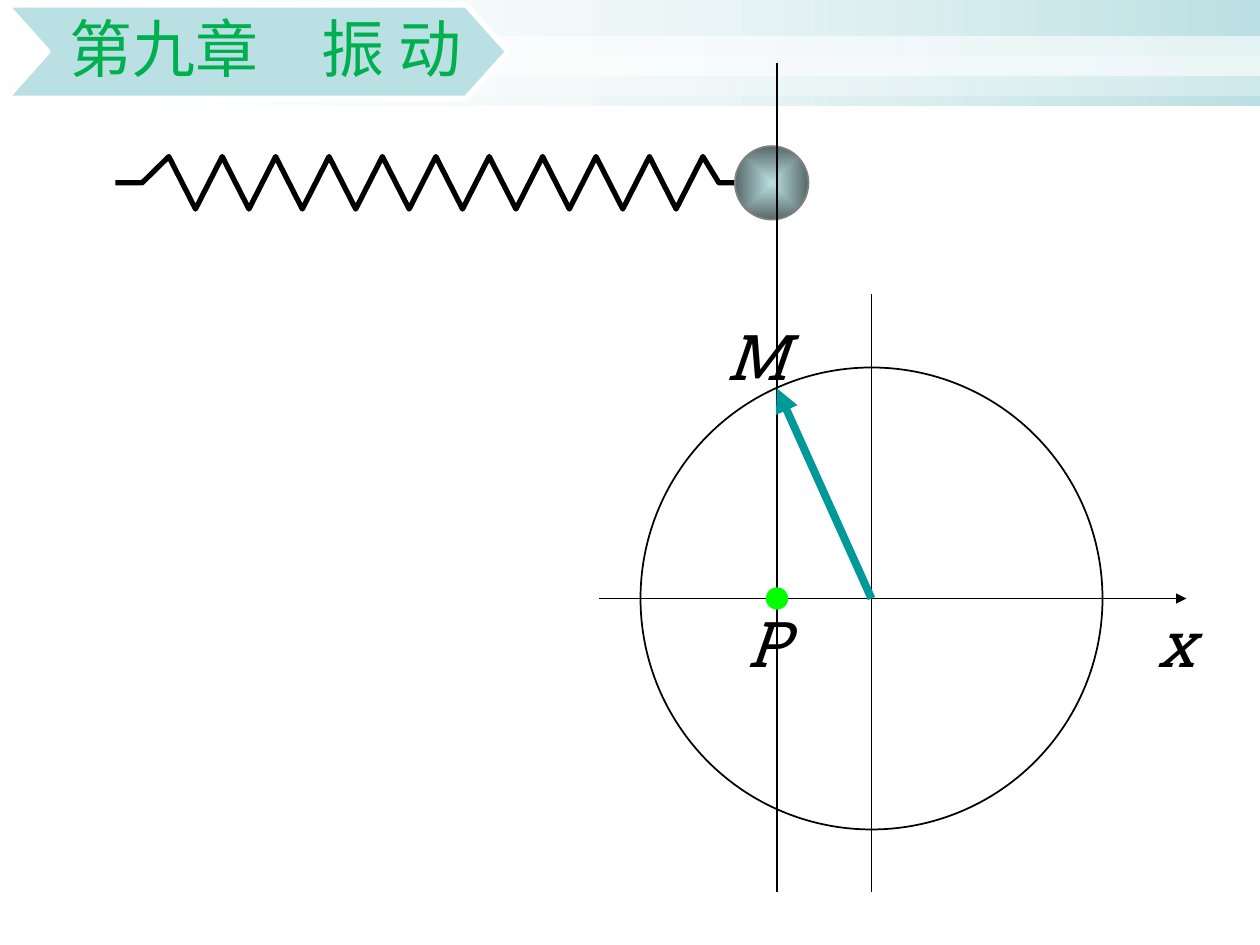
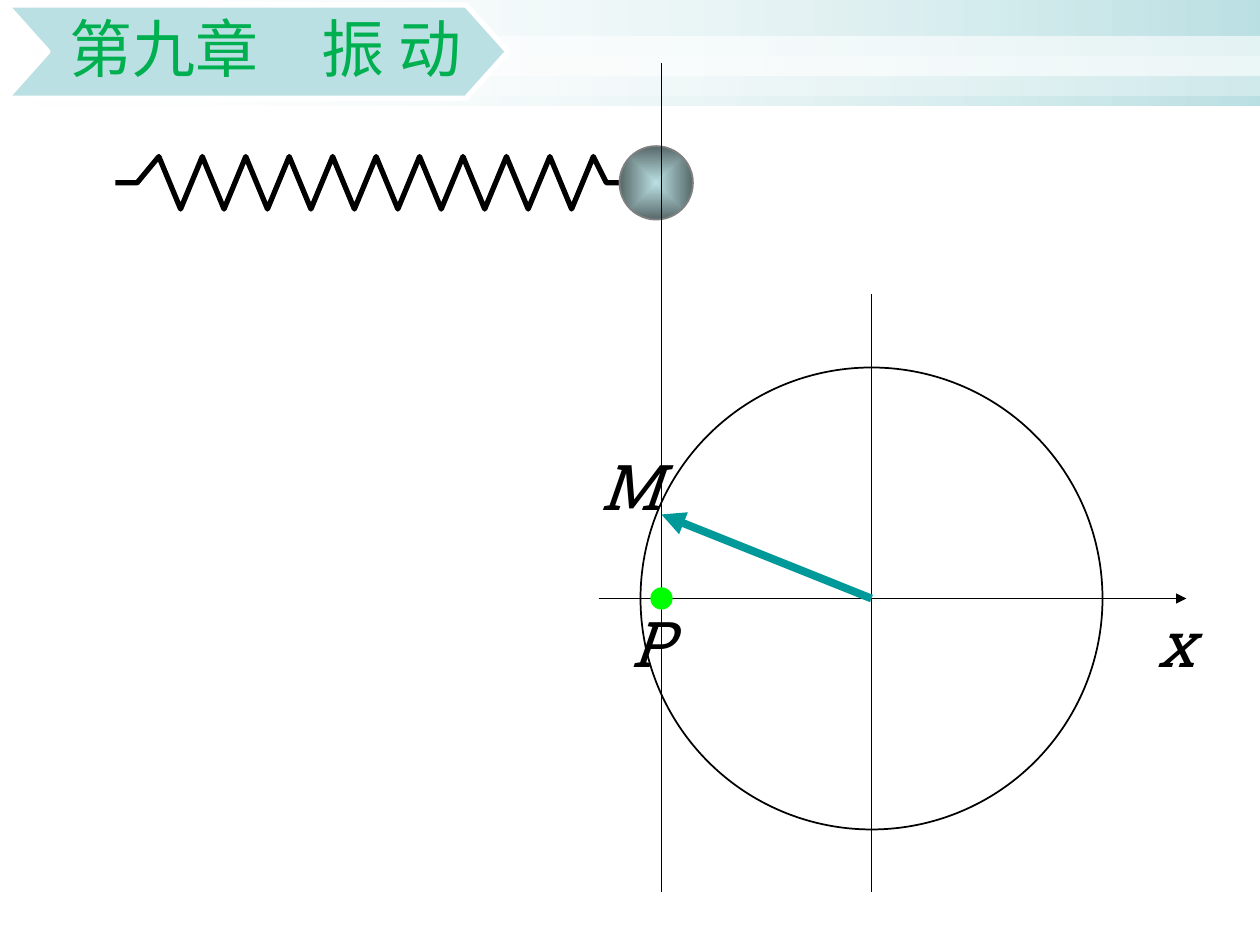
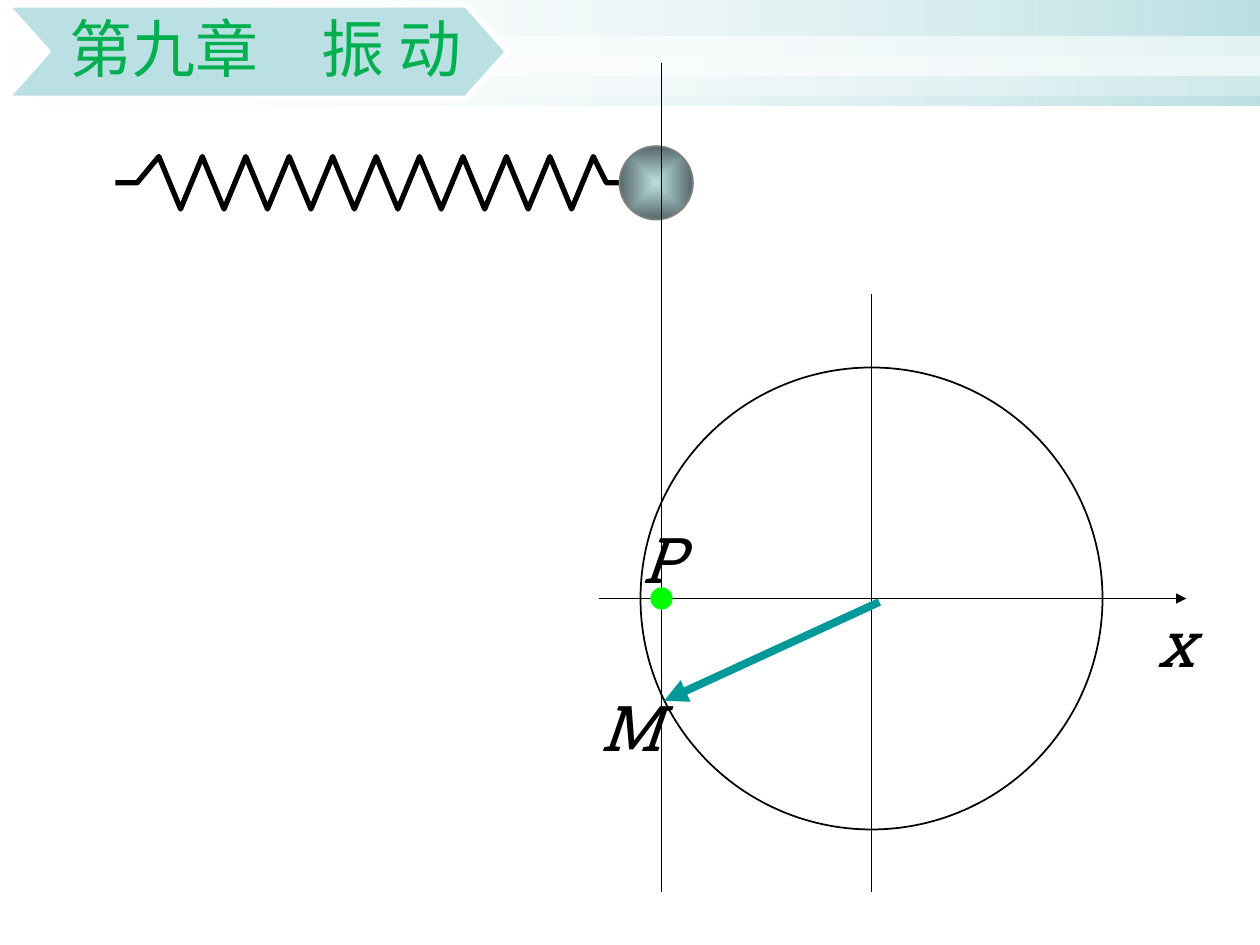
from dataclasses import dataclass

from lxml import etree
from pptx import Presentation
from pptx.dml.color import RGBColor
from pptx.enum.shapes import MSO_CONNECTOR, MSO_SHAPE
from pptx.enum.text import MSO_ANCHOR, MSO_AUTO_SIZE, PP_ALIGN
from pptx.oxml.ns import qn
from pptx.util import Pt

RECTANGLE, OVAL = MSO_SHAPE.RECTANGLE, MSO_SHAPE.OVAL
STRAIGHT = MSO_CONNECTOR.STRAIGHT
MIDDLE, RIGHT = MSO_ANCHOR.MIDDLE, PP_ALIGN.RIGHT
GROW_TO_TEXT = MSO_AUTO_SIZE.SHAPE_TO_FIT_TEXT


@dataclass(frozen=True)
class Theme:
    white: str = "FFFFFF"
    ink: str = "000000"
    band: str = "BBE0E3"
    ball_edge: str = "576869"
    ball_line: str = "808080"
    vector: str = "009999"
    dot: str = "00FF00"
    title: str = "00B050"
    title_font: str = "Calibri"
    label_font: str = "Roboto Slab"
    text_size: float = 36
    thin: float = 1
    thick: float = 3
    vector_width: float = 4.5


@dataclass(frozen=True)
class Moment:
    """One position of the oscillator and its rotating vector."""
    ball_left: float
    vector_start: tuple
    vector_tip: tuple
    m_label: tuple
    p_label: tuple


THEME = Theme()
CENTER_X, CENTER_Y, RADIUS = 498, 342, 132
SPRING_LEFT, SPRING_Y, SPRING_HEIGHT = 66, 104.5, 15
SPRING_STEPS = 22
BALL_SIZE, DOT_SIZE = 42, 12
LINE_OFFSET = 24
AXIS_BOTTOM = 510
LABEL_HEIGHT = 50.4

MOMENTS = [
    Moment(420, (CENTER_X, CENTER_Y), (444, 222), (408, 178), (420, 342)),
    Moment(354, (CENTER_X, CENTER_Y), (378, 294), (336, 252), (354, 342)),
    Moment(354, (502.5, 344), (379.5, 400.5), (336, 390), (360, 294)),
]


# Formatting
def set_line(item, color, width):
    item.line.color.rgb = RGBColor.from_string(color)
    item.line.width = Pt(width)


def set_fill(shape, color, opacity=100):
    shape.fill.solid()
    shape.fill.fore_color.rgb = RGBColor.from_string(color)
    if opacity < 100:
        color_node = shape.element.spPr.find(qn("a:solidFill"))[0]
        etree.SubElement(color_node, qn("a:alpha"), val=str(opacity * 1000))


def set_gradient(shape, start, end, start_opacity=100, from_center=False):
    shape.fill.gradient()
    shape.fill.gradient_angle = 0
    gradient = shape.element.spPr.find(qn("a:gradFill"))
    stops = shape.fill.gradient_stops
    for stop, color, position in zip(stops, (start, end), (0, 1)):
        stop.color.rgb = RGBColor.from_string(color)
        stop.position = position
    if start_opacity < 100:
        color_node = gradient.find(qn("a:gsLst"))[0][0]
        etree.SubElement(color_node, qn("a:alpha"), val=str(start_opacity * 1000))
    if from_center:
        direction = etree.Element(qn("a:path"), {"path": "rect"})
        etree.SubElement(direction, qn("a:fillToRect"),
                         {side: "50000" for side in "ltrb"})
        gradient.replace(gradient.find(qn("a:lin")), direction)


def set_font(paragraph, name, color, italic=False):
    for run in paragraph.runs:
        run.font.name = name
        run.font.size = Pt(THEME.text_size)
        run.font.italic = italic
        run.font.color.rgb = RGBColor.from_string(color)


def set_insets(text_frame, left, top, right, bottom):
    text_frame.margin_left, text_frame.margin_top = Pt(left), Pt(top)
    text_frame.margin_right, text_frame.margin_bottom = Pt(right), Pt(bottom)


# Elements
def add_plain_shape(shapes, kind, left, top, width, height):
    shape = shapes.add_shape(kind, Pt(left), Pt(top), Pt(width), Pt(height))
    shape.shadow.inherit = False
    shape.fill.background()
    shape.line.fill.background()
    return shape


def add_circle(shapes, center_x, center_y, size, color, width=THEME.thin):
    circle = add_plain_shape(shapes, OVAL, center_x - size / 2,
                             center_y - size / 2, size, size)
    set_line(circle, color, width)
    return circle


def add_line(shapes, start, end, color=THEME.ink, width=THEME.thin, arrow=False):
    line = shapes.add_connector(STRAIGHT, *map(Pt, start), *map(Pt, end))
    set_line(line, color, width)
    properties = line.element.spPr
    if arrow:
        etree.SubElement(properties.find(qn("a:ln")), qn("a:tailEnd"), type="triangle")
    etree.SubElement(properties, qn("a:effectLst"))


def add_outline(shapes, points, color, width, close):
    corners = [(Pt(x), Pt(y)) for x, y in points]
    builder = shapes.build_freeform(*corners[0])
    builder.add_line_segments(corners[1:], close=close)
    outline = builder.convert_to_shape()
    outline.shadow.inherit = False
    set_line(outline, color, width)
    return outline


def add_label(shapes, text, left, top, width):
    box = shapes.add_textbox(Pt(left), Pt(top), Pt(width), Pt(LABEL_HEIGHT))
    frame = box.text_frame
    frame.text = text
    frame.word_wrap = False
    frame.auto_size = GROW_TO_TEXT
    set_insets(frame, 7.2, 3.6, 7.2, 3.6)
    set_font(frame.paragraphs[0], THEME.label_font, THEME.ink, italic=True)


# Shared header
def add_header_band(shapes):
    band = add_plain_shape(shapes, RECTANGLE, 0, 0, 720, 60.5)
    set_gradient(band, THEME.white, THEME.band, start_opacity=0)
    for top, opacity in ((20.5, 60), (32, 31)):
        stripe = add_plain_shape(shapes, RECTANGLE, 0, top, 720, 23)
        set_fill(stripe, THEME.white, opacity)


def add_chapter_banner(shapes):
    left, shoulder, tip, notch = 3.6, 266.4, 290.2, 27.4
    top, middle, bottom = 2.9, 29.5, 56.1
    points = [(left, top), (shoulder, top), (tip, middle),
              (shoulder, bottom), (left, bottom), (notch, middle)]
    banner = add_outline(shapes, points, THEME.white, THEME.thick, close=True)
    set_fill(banner, THEME.band)
    frame = banner.text_frame
    frame.text = "第九章　振 动"
    frame.word_wrap = True
    frame.vertical_anchor = MIDDLE
    set_insets(frame, 30, 2, 26.5, 2)
    paragraph = frame.paragraphs[0]
    paragraph.alignment = RIGHT
    paragraph.line_spacing = 0.9
    paragraph.space_after = Pt(15.8)
    set_font(paragraph, THEME.title_font, THEME.title)


# Oscillator and reference circle
def add_spring(shapes, right):
    # The two closing pieces are each 0.6 of a step long
    step = (right - SPRING_LEFT) / (SPRING_STEPS + 1.2)
    points = [(SPRING_LEFT, SPRING_Y), (SPRING_LEFT + step, SPRING_Y)]
    for index in range(2, SPRING_STEPS + 1):
        offset = -SPRING_HEIGHT if index % 2 == 0 else SPRING_HEIGHT
        points.append((SPRING_LEFT + index * step, SPRING_Y + offset))
    points += [(right - 0.6 * step, SPRING_Y), (right, SPRING_Y)]
    spring = add_outline(shapes, points, THEME.ink, THEME.thick, close=False)
    spring.fill.background()


def add_ball_with_projection(slide, ball_left):
    shapes = slide.shapes.add_group_shape().shapes
    ball = add_circle(shapes, ball_left + BALL_SIZE / 2, SPRING_Y,
                      BALL_SIZE, THEME.ball_line)
    set_gradient(ball, THEME.band, THEME.ball_edge, from_center=True)
    line_x = ball_left + LINE_OFFSET
    add_line(shapes, (line_x, 36), (line_x, AXIS_BOTTOM))


def add_reference_circle(slide):
    shapes = slide.shapes.add_group_shape().shapes
    add_circle(shapes, CENTER_X, CENTER_Y, 2 * RADIUS, THEME.ink)
    add_line(shapes, (342, CENTER_Y), (678, CENTER_Y), arrow=True)
    add_line(shapes, (CENTER_X, 168), (CENTER_X, AXIS_BOTTOM))
    add_label(shapes, "x", 654.5, CENTER_Y, 34)


def add_moment_slide(presentation, moment):
    slide = presentation.slides.add_slide(presentation.slide_layouts[6])
    shapes = slide.shapes
    add_header_band(shapes)
    add_spring(shapes, moment.ball_left)
    add_ball_with_projection(slide, moment.ball_left)
    add_reference_circle(slide)
    add_line(shapes, moment.vector_start, moment.vector_tip,
             THEME.vector, THEME.vector_width, arrow=True)
    add_label(shapes, "M", *moment.m_label, 45)
    add_label(shapes, "P", *moment.p_label, 36)
    dot = add_circle(shapes, moment.ball_left + LINE_OFFSET, CENTER_Y,
                     DOT_SIZE, THEME.dot, 0.75)
    set_fill(dot, THEME.dot)
    add_chapter_banner(shapes)


def main():
    presentation = Presentation()
    presentation.slide_width, presentation.slide_height = Pt(720), Pt(540)
    for moment in MOMENTS:
        add_moment_slide(presentation, moment)
    presentation.save("out.pptx")


if __name__ == "__main__":
    main()
